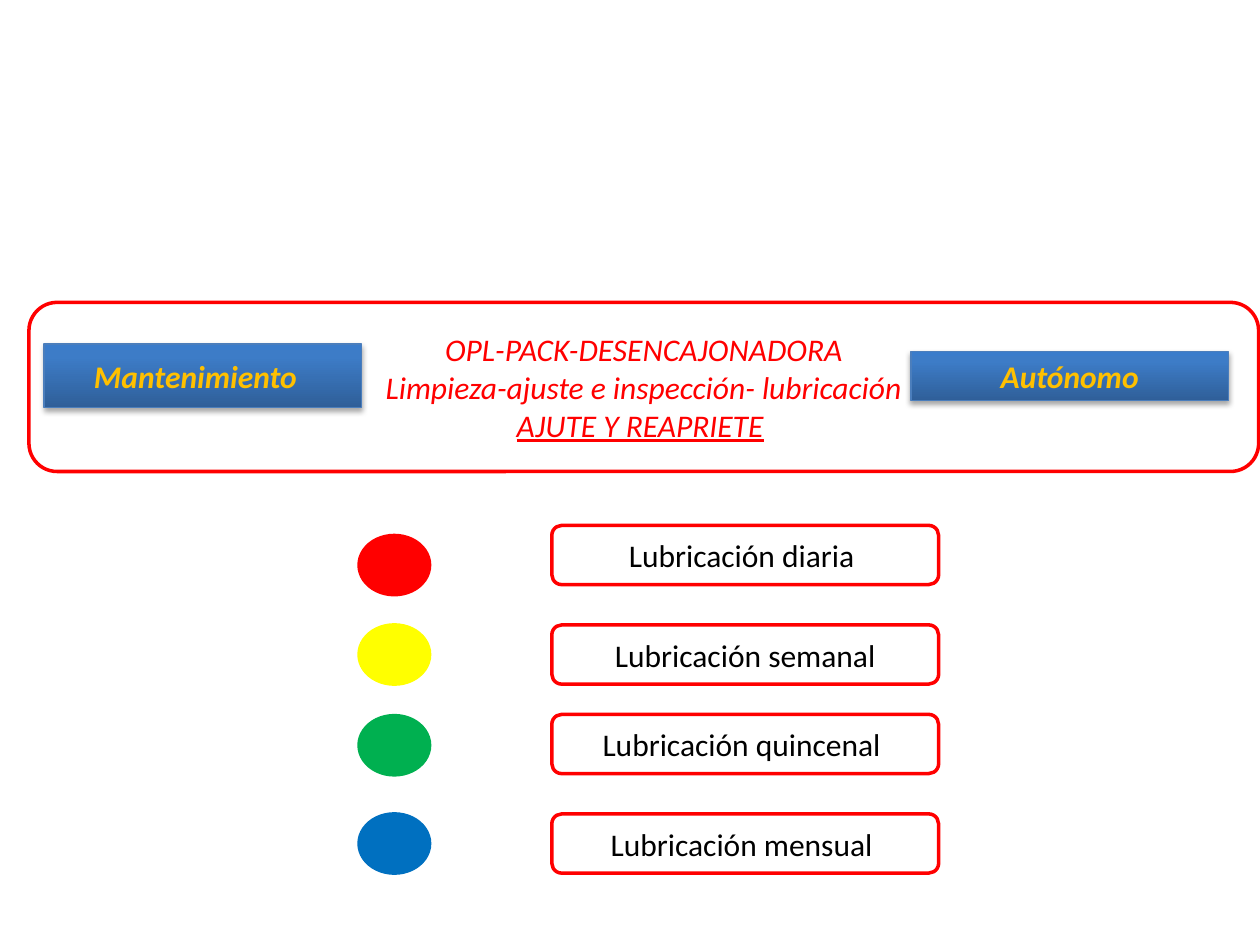
"""Build the lubrication frequency legend slide for the packing line maintenance lesson."""
from lxml import etree
from pptx import Presentation
from pptx import util as u
from pptx.dml.color import RGBColor
from pptx.enum import shapes, text
from pptx.oxml import ns

WIDTH, HEIGHT = 10, 7.5
COLORS = {
    "white": "FFFFFF", "black": "000000", "red": "FF0000", "yellow": "FFFF00",
    "green": "00B050", "blue": "0070C0", "gold": "FFC000", "edge": "4B7EBC",
}
GRADIENT = [(0, "2F5F99"), (80, "3D7CC7"), (100, "3A7CCB")]
BANNER = {
    "at": (0.023, 0.32, 0.976, 0.179),
    "lines": [
        [("OPL-PACK-DESENCAJONADORA", {})],
        [("Limpieza-ajuste e inspección- lubricación", {})],
        [("AJUTE Y REAPRIETE", {"underline": True}), (" ", {})],
    ],
}
LEGEND = [
    ("red", "Lubricación diaria ", 4.25, 4.17),
    ("yellow", "Lubricación semanal", 4.96, 4.96),
    ("green", "Lubricación quincenal ", 5.68, 5.67),
    ("blue", "Lubricación mensual ", 6.46, 6.46),
]
DOT = {"left": 0.285, "width": 0.056}
LABEL = {"left": 0.438, "width": 0.307}
ROW_HEIGHT = 0.47
BUTTONS = [
    (" Autónomo ", (0.723, 0.372, 0.252, 0.052), 0.1),
    ("Mantenimiento ", (0.035, 0.364, 0.252, 0.067), 0.16),
]
BUTTON_FONT = {"bold": True, "italic": True}


def rgb(name):
    return RGBColor.from_string(COLORS[name])


def add_box(page, kind, share, fill, line, weight=2):
    left, top, width, height = share
    box = page.shapes.add_shape(
        kind, u.Inches(left * WIDTH), u.Inches(top * HEIGHT),
        u.Inches(width * WIDTH), u.Inches(height * HEIGHT))
    box.fill.solid()
    box.fill.fore_color.rgb = rgb(fill)
    box.line.color.rgb = rgb(line)
    box.line.width = u.Pt(weight)
    box.shadow.inherit = False
    return box


def write(box, lines, color, **common):
    frame = box.text_frame
    frame.word_wrap = True
    frame.vertical_anchor = text.MSO_ANCHOR.MIDDLE
    for index, spans in enumerate(lines):
        para = frame.add_paragraph() if index else frame.paragraphs[0]
        para.alignment = text.PP_ALIGN.CENTER
        for words, extra in spans:
            span = para.add_run()
            span.text = words
            span.font.color.rgb = rgb(color)
            formats = {"name": "Calibri", "size": u.Pt(18), **common, **extra}
            for key, value in formats.items():
                setattr(span.font, key, value)


def child(parent, tag, **attributes):
    return etree.SubElement(parent, ns.qn(tag), attributes)


def style_button(box):
    properties = box.fill._xPr
    solid = properties.find(ns.qn("a:solidFill"))
    gradient = etree.Element(ns.qn("a:gradFill"), rotWithShape="1")
    stops = child(gradient, "a:gsLst")
    for percent, color in GRADIENT:
        child(child(stops, "a:gs", pos=str(percent * 1000)), "a:srgbClr", val=color)
    child(gradient, "a:lin", ang="16200000", scaled="0")
    properties.replace(solid, gradient)
    effects = properties.find(ns.qn("a:effectLst"))
    shadow = child(effects, "a:outerShdw", blurRad=str(u.Pt(3.1)), dist=str(u.Pt(1.8)),
                   dir="5400000", rotWithShape="0")
    child(child(shadow, "a:srgbClr", val=COLORS["black"]), "a:alpha", val="35000")


def main():
    deck = Presentation()
    deck.slide_width, deck.slide_height = u.Inches(WIDTH), u.Inches(HEIGHT)
    page = deck.slides.add_slide(deck.slide_layouts[6])
    kinds = shapes.MSO_SHAPE

    banner = add_box(page, kinds.ROUNDED_RECTANGLE, BANNER["at"], "white", "red")
    write(banner, BANNER["lines"], "red", italic=True)
    closing = banner.text_frame.paragraphs[-1]
    closing._p.get_or_add_pPr().set("indent", str(u.Inches(-0.06)))

    share = ROW_HEIGHT / HEIGHT
    for color, label, dot_top, label_top in LEGEND:
        dot_at = DOT["left"], dot_top / HEIGHT, DOT["width"], share
        label_at = LABEL["left"], label_top / HEIGHT, LABEL["width"], share
        add_box(page, kinds.OVAL, dot_at, color, color)
        box = add_box(page, kinds.ROUNDED_RECTANGLE, label_at, "white", "red")
        write(box, [[(label, {})]], "black")

    for label, place, right_margin in BUTTONS:
        button = add_box(page, kinds.RECTANGLE, place, "blue", "edge", 0.75)
        style_button(button)
        write(button, [[(label, BUTTON_FONT)]], "gold")
        button.text_frame.margin_right = u.Inches(right_margin)

    deck.save("out.pptx")


if __name__ == "__main__":
    main()
